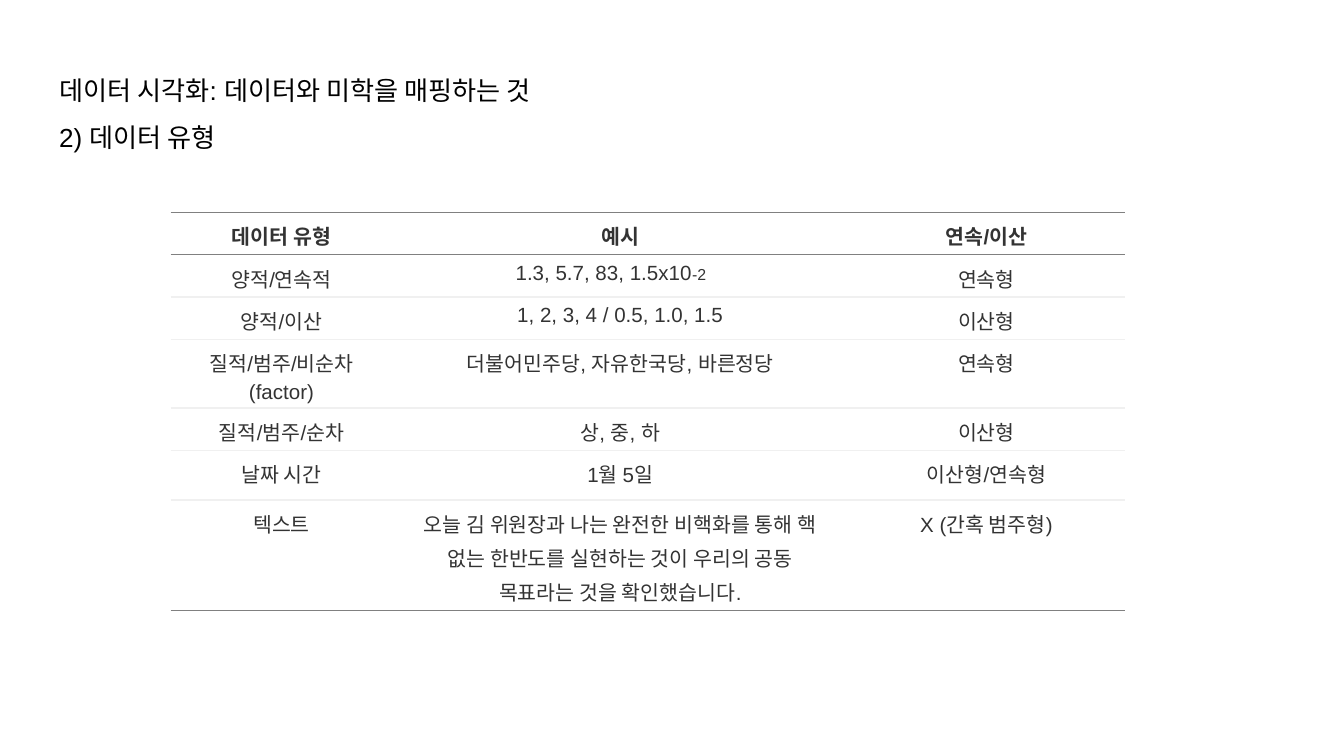
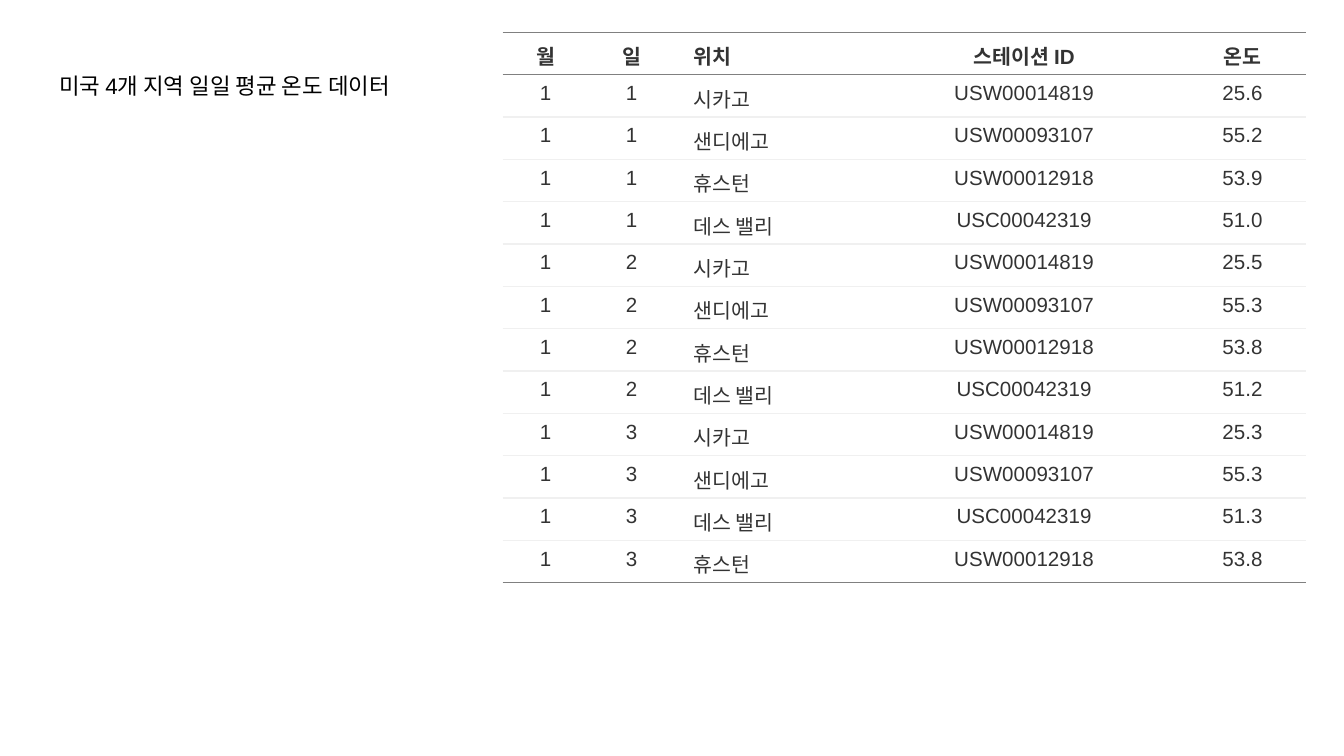
from lxml import etree
from pptx import Presentation
from pptx.dml.color import RGBColor
from pptx.enum.text import MSO_ANCHOR, MSO_AUTO_SIZE, PP_ALIGN
from pptx.oxml.ns import qn
from pptx.util import Pt

LEFT, CENTER = PP_ALIGN.LEFT, PP_ALIGN.CENTER
TOP = MSO_ANCHOR.TOP
NO_AUTOFIT = MSO_AUTO_SIZE.NONE

EMU_PER_PX = 4572  # 200 px to the inch
SLIDE_SIZE = (2000, 1125)
TITLE_ONLY_LAYOUT = 5
FONT = "Arial"
CELL_SIZE = 11
SMALL_SIZE = 8.5
COLORS = {
    "paper": "FFFFFF",
    "title": "000000",
    "cell": "333333",
    "strong_rule": "808080",
    "light_rule": "F0F0F0",
}

DATA_TYPES = [
    ("데이터 유형", "예시", "연속/이산"),
    ("양적/연속적", ("1.3, 5.7, 83, 1.5x10", "-2"), "연속형"),
    ("양적/이산", "1, 2, 3, 4 / 0.5, 1.0, 1.5", "이산형"),
    ("질적/범주/비순차\v(factor)", "더불어민주당, 자유한국당, 바른정당", "연속형"),
    ("질적/범주/순차", "상, 중, 하", "이산형"),
    ("날짜 시간", "1월 5일", "이산형/연속형"),
    (
        "텍스트",
        "오늘 김 위원장과 나는 완전한 비핵화를 통해 핵 없는 한반도를 "
        "실현하는 것이 우리의 공동 목표라는 것을 확인했습니다.",
        "X (간혹 범주형)",
    ),
]

STATIONS = {
    "시카고": "USW00014819",
    "샌디에고": "USW00093107",
    "휴스턴": "USW00012918",
    "데스 밸리": "USC00042319",
}
READINGS = [
    (1, "시카고", "25.6"),
    (1, "샌디에고", "55.2"),
    (1, "휴스턴", "53.9"),
    (1, "데스 밸리", "51.0"),
    (2, "시카고", "25.5"),
    (2, "샌디에고", "55.3"),
    (2, "휴스턴", "53.8"),
    (2, "데스 밸리", "51.2"),
    (3, "시카고", "25.3"),
    (3, "샌디에고", "55.3"),
    (3, "데스 밸리", "51.3"),
    (3, "휴스턴", "53.8"),
]


def px(length):
    return length * EMU_PER_PX


def set_cell_border(cell, side, color=None):
    """Draw one side (L, R, T or B) of a cell, or clear it when no color is given."""
    line = etree.SubElement(cell._tc.get_or_add_tcPr(), qn(f"a:ln{side}"), w=str(Pt(0.75)))
    if color is None:
        etree.SubElement(line, qn("a:noFill"))
    else:
        fill = etree.SubElement(line, qn("a:solidFill"))
        etree.SubElement(fill, qn("a:srgbClr"), val=COLORS[color])


class Deck:
    """Holds the presentation, its style and the current slide."""

    def __init__(self):
        self.presentation = Presentation()
        self.presentation.slide_width, self.presentation.slide_height = map(px, SLIDE_SIZE)
        self.slide = None

    def add_slide(self):
        layout = self.presentation.slide_layouts[TITLE_ONLY_LAYOUT]
        self.slide = self.presentation.slides.add_slide(layout)

    def format_run(self, run, size, color, bold=False):
        run.font.name = FONT
        run.font.size = Pt(size)
        run.font.bold = bold
        run.font.color.rgb = RGBColor.from_string(COLORS[color])

    def add_title(self, text, size):
        title = self.slide.shapes.title
        title.left, title.top, title.width, title.height = map(px, (68, 68, 1864, 72))
        frame = title.text_frame
        frame.margin_left = frame.margin_right = px(20)
        frame.margin_top = frame.margin_bottom = px(20)
        frame.word_wrap = True
        frame.auto_size = NO_AUTOFIT
        frame.vertical_anchor = TOP
        frame.text = text
        for paragraph in frame.paragraphs:
            paragraph.alignment = LEFT
            paragraph.line_spacing = 1.5
            paragraph.space_before = Pt(0)
            for run in paragraph.runs:
                self.format_run(run, size, "title")

    def add_table(self, left, top, widths, heights, rows, left_columns=()):
        frame = self.slide.shapes.add_table(
            len(rows), len(widths), px(left), px(top), px(sum(widths)), px(sum(heights))
        )
        table = frame.table
        table.first_row = table.horz_banding = False
        for column, width in zip(table.columns, widths):
            column.width = px(width)
        for row, height in zip(table.rows, heights):
            row.height = px(height)

        last = len(rows) - 1
        for row_index, row in enumerate(rows):
            top_rule = "strong_rule" if row_index <= 1 else "light_rule"
            bottom_rule = "strong_rule" if row_index in (0, last) else "light_rule"
            for column_index, content in enumerate(row):
                cell = table.cell(row_index, column_index)
                alignment = LEFT if column_index in left_columns else CENTER
                self.fill_cell(cell, content, alignment, bold=row_index == 0)
                for side, rule in zip("LRTB", (None, None, top_rule, bottom_rule)):
                    set_cell_border(cell, side, rule)
                cell.fill.solid()
                cell.fill.fore_color.rgb = RGBColor.from_string(COLORS["paper"])
        return table

    def fill_cell(self, cell, content, alignment, bold):
        """Write a text, or a (text, small suffix) pair, into a cell."""
        cell.margin_left = cell.margin_right = px(28)
        cell.margin_top = cell.margin_bottom = px(6)
        cell.vertical_anchor = TOP
        text, suffix = content if isinstance(content, tuple) else (content, None)
        paragraph = cell.text_frame.paragraphs[0]
        paragraph.text = text
        paragraph.alignment = alignment
        paragraph.line_spacing = 1.15
        paragraph.space_after = Pt(9)
        for run in paragraph.runs:
            self.format_run(run, CELL_SIZE, "cell", bold)
        if suffix:
            run = paragraph.add_run()
            run.text = suffix
            self.format_run(run, SMALL_SIZE, "cell", bold)


def build_data_types(deck):
    deck.add_slide()
    deck.add_title("데이터 시각화: 데이터와 미학을 매핑하는 것\n2) 데이터 유형", 14)
    table = deck.add_table(
        254, 316, (330, 678, 412), (40, 22, 24, 22, 40, 74, 110), DATA_TYPES
    )
    table.cell(1, 1).margin_left = 0


def build_temperatures(deck):
    deck.add_slide()
    deck.add_title("미국 4개 지역 일일 평균 온도 데이터", 12)
    rows = [("월", "일", "위치", "스테이션 ID", "온도")]
    rows += [
        ("1", str(day), place, STATIONS[place], temperature)
        for day, place, temperature in READINGS
    ]
    heights = [62, 30, 22] + [62] * (len(rows) - 3)
    deck.add_table(748, 48, (128, 128, 290, 460, 190), heights, rows, left_columns=(2,))


def main():
    deck = Deck()
    build_data_types(deck)
    build_temperatures(deck)
    deck.presentation.save("out.pptx")


if __name__ == "__main__":
    main()
